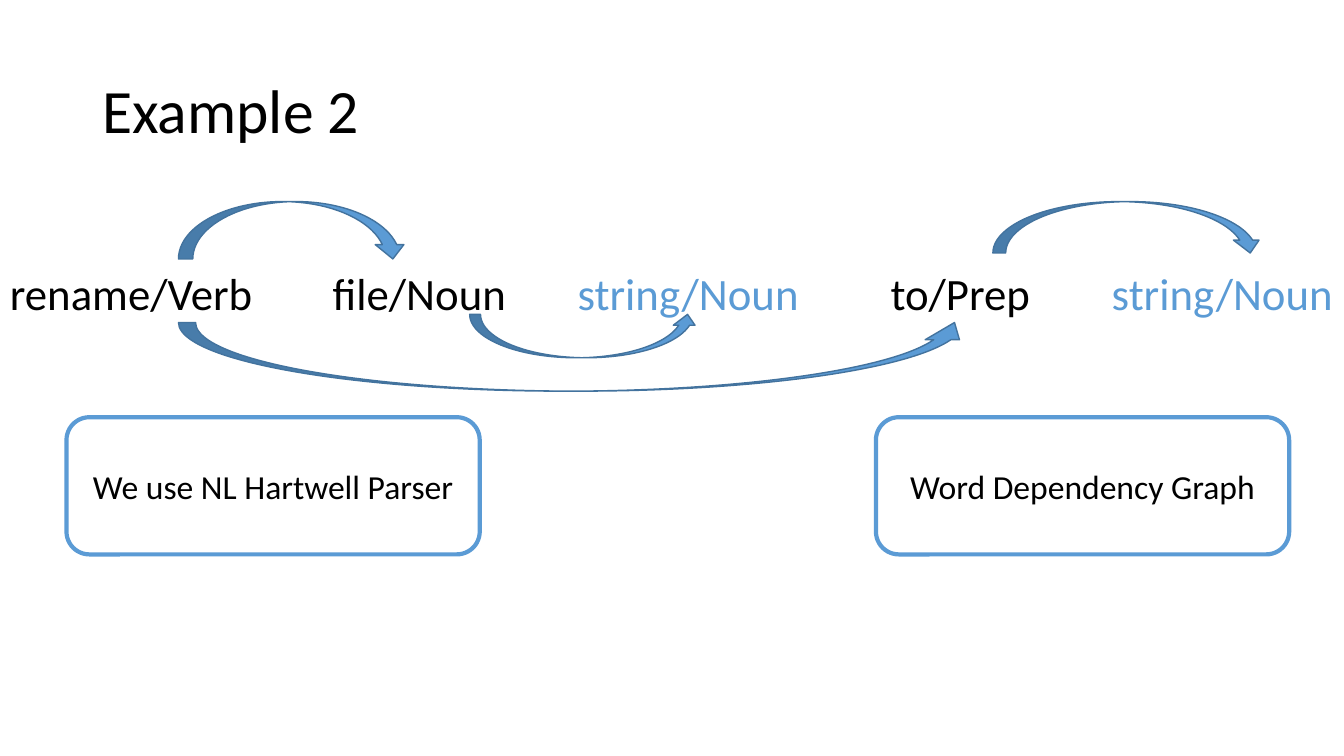
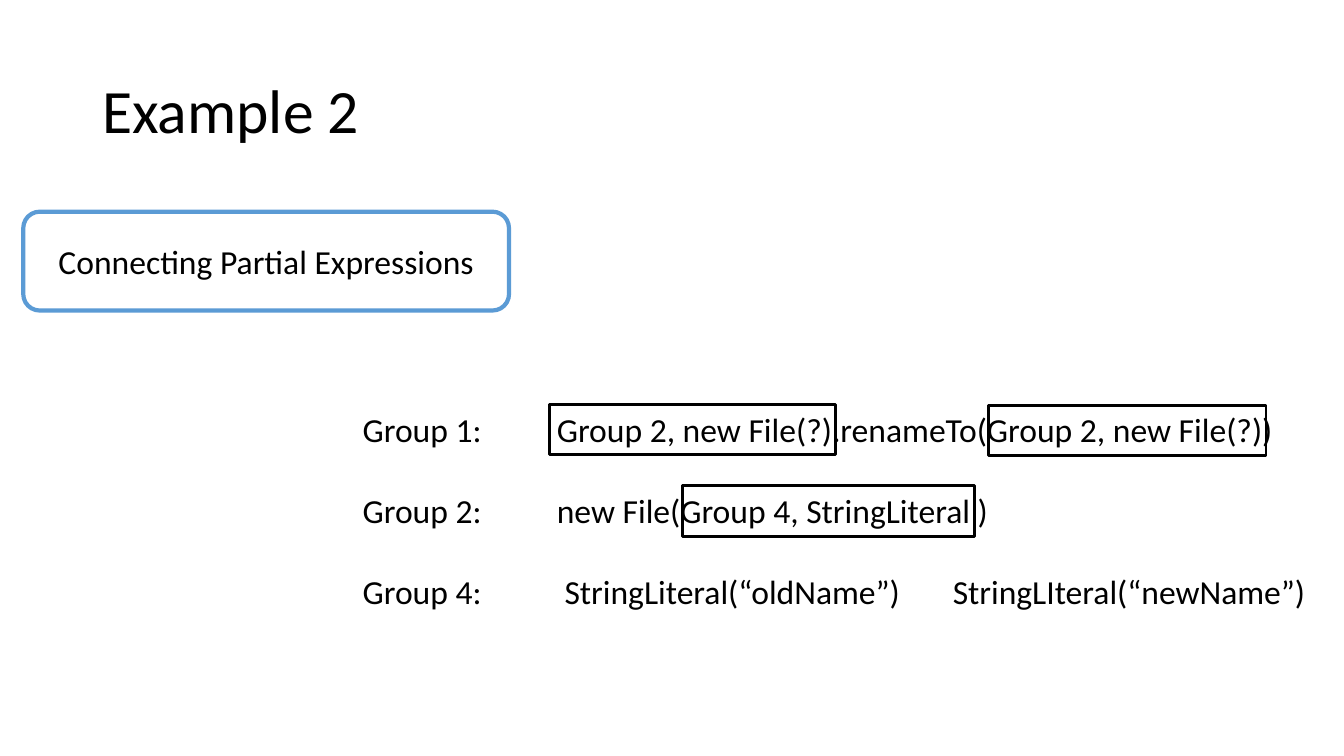
import pptx
import pptx.dml.color
import pptx.enum.shapes
import pptx.enum.text
import pptx.oxml
import pptx.oxml.ns
import pptx.util

Pt = pptx.util.Pt
SHAPES = pptx.enum.shapes.MSO_SHAPE
ALIGN = pptx.enum.text.PP_ALIGN
ANCHOR = pptx.enum.text.MSO_ANCHOR

BLACK, WHITE, BLUE, DARK_BLUE = "000000", "FFFFFF", "5B9BD5", "43739E"


def color(value):
    return pptx.dml.color.RGBColor.from_string(value)


def apply(target, values):
    for name, value in values.items():
        setattr(target, name, value)


class Deck:
    """Holds the shared style and the current slide."""

    font = "Calibri"
    title_box = (66, 29, 828, 104.4)

    def __init__(self, width, height):
        self.presentation = pptx.Presentation()
        apply(self.presentation, {"slide_width": Pt(width), "slide_height": Pt(height)})
        self.slide = None

    def new_slide(self, title):
        self.slide = self.presentation.slides.add_slide(self.presentation.slide_layouts[6])
        self.text(self.title_box, [([(title, BLACK)], [])], 44,
                  frame_format={"vertical_anchor": ANCHOR.MIDDLE},
                  paragraph_format={"line_spacing": 0.9})

    def text(self, box, lines, size, frame_format=None, paragraph_format=None):
        """Each line is a list of (text, colour) runs and a list of tab stops."""
        shape = self.slide.shapes.add_textbox(*map(Pt, box))
        self.set_text(shape.text_frame, lines, size, frame_format, paragraph_format)

    def set_text(self, frame, lines, size, frame_format=None, paragraph_format=None):
        apply(frame, {"word_wrap": True, **(frame_format or {})})
        for index, (runs, stops) in enumerate(lines):
            paragraph = frame.add_paragraph() if index else frame.paragraphs[0]
            apply(paragraph, paragraph_format or {})
            self.tab_stops(paragraph, stops)
            for content, ink in runs:
                run = paragraph.add_run()
                run.text = content
                apply(run.font, {"name": self.font, "size": Pt(size)})
                run.font.color.rgb = color(ink)

    def tab_stops(self, paragraph, stops):
        if not stops:
            return
        tab_list = pptx.oxml.parse_xml(
            "<a:tabLst %s/>" % pptx.oxml.ns.nsdecls("a"))
        for stop in stops:
            tab = tab_list.makeelement(pptx.oxml.ns.qn("a:tab"),
                                       {"pos": str(int(Pt(stop))), "algn": "l"})
            tab_list.append(tab)
        paragraph._p.get_or_add_pPr().append(tab_list)

    def shape(self, kind, box, fill, line, weight):
        shape = self.slide.shapes.add_shape(kind, *map(Pt, box))
        shape.shadow.inherit = False
        if fill:
            shape.fill.solid()
            shape.fill.fore_color.rgb = color(fill)
        else:
            shape.fill.background()
        shape.line.color.rgb = color(line)
        shape.line.width = Pt(weight)
        return shape

    def callout(self, box, label):
        shape = self.shape(SHAPES.ROUNDED_RECTANGLE, box, WHITE, BLUE, 3)
        self.set_text(shape.text_frame, [([(label, BLACK)], [])], 24,
                      frame_format={"vertical_anchor": ANCHOR.MIDDLE},
                      paragraph_format={"alignment": ALIGN.CENTER})

    def arc(self, box, below=False):
        arrow = self.shape(SHAPES.CURVED_DOWN_ARROW, box, BLUE, DARK_BLUE, 1)
        if below:
            arrow._element.spPr.xfrm.set("flipV", "1")

    def frame(self, box):
        self.shape(SHAPES.RECTANGLE, box, None, BLACK, 2)


deck = Deck(960, 540)

# Slide 1: word dependency graph
deck.new_slide("Example 2")
tagged_words = [("rename/Verb\t", BLACK), ("file/Noun\t", BLACK), ("string/Noun\t", BLUE),
                ("to/Prep\t", BLACK), ("string/Noun", BLUE)]
deck.text((0, 144, 960, 342.7), [(tagged_words, [230.5, 405.5, 629, 787])], 32,
          frame_format={"margin_top": Pt(46), "margin_right": 0})

for left, label in [(625.7, "Word Dependency Graph"), (47.5, "We use NL Hartwell Parser")]:
    deck.callout((left, 298, 295.2, 98), label)

# Dependency arcs above and below the words
for box, below in [((127.5, 144, 163.4, 41), False),
                   ((127.5, 230.4, 566.6, 49), True),
                   ((335.5, 224.6, 163.4, 31), True),
                   ((709.2, 144, 193, 36.7), False)]:
    deck.arc(box, below)

# Slide 2: partial expressions
deck.new_slide("Example 2")
expressions = [
    ("Group 1:\tGroup 2, new File(?).renameTo(Group 2, new File(?))", [138.7]),
    ("Group 2:\tnew File(Group 4, StringLiteral )", [138.7]),
    ("Group 4:\tStringLiteral(“oldName”)\tStringLIteral(“newName”)", [144.2, 421.5]),
]
deck.text((252, 288.7, 691.2, 152.6),
          [([(content, BLACK)], stops) for content, stops in expressions], 24,
          paragraph_format={"space_after": Pt(29)})
deck.callout((16.6, 151.2, 347, 70.6), "Connecting Partial Expressions")

# Frames around the parts to be replaced
for left, top, width in [(392.4, 288.7, 204.5), (706.3, 289.4, 198), (487.4, 347, 208.8)]:
    deck.frame((left, top, width, 36))

deck.presentation.save("out.pptx")
